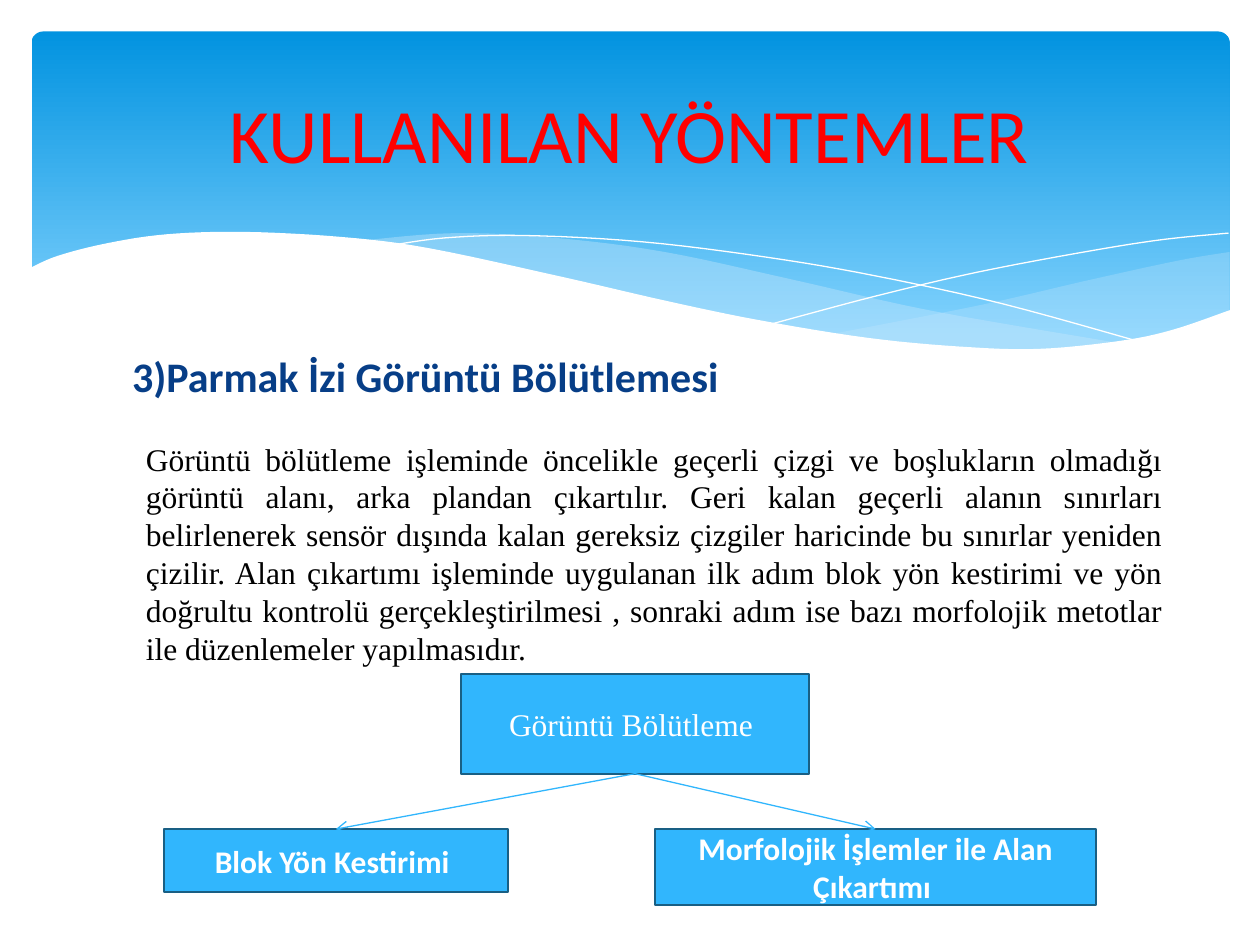
import pptx
import pptx.util
import pptx.dml.color
import pptx.enum.shapes
import pptx.enum.text
import pptx.oxml
import pptx.oxml.ns
from lxml import etree

Pt = pptx.util.Pt
KIND = pptx.enum.shapes.MSO_SHAPE
ALIGN = pptx.enum.text.PP_ALIGN
MIDDLE = pptx.enum.text.MSO_ANCHOR.MIDDLE
COLORS = {
    "deep": "0293E0", "sky": "83D3FE", "mist": "C6E7FC", "white": "FFFFFF",
    "navy": "073E87", "red": "FF0000", "black": "000000",
    "box": "31B6FD", "edge": "195F84",
}
SANS, SERIF = "Calibri", "Times New Roman"

FRONT = [(16.6, 153.4), (33, 146.2), (61.2, 139), (95, 133.9), (139, 132.5),
         (195, 135.4), (245, 141.8), (322, 158.4), (381, 172), (434, 183),
         (495.4, 193), (548, 198), (592.6, 199.4), (638.6, 195), (669.6, 188.6),
         (703.4, 177)]
RIGHT_TOP = [(702.7, 144), (673, 149), (620, 160.6), (561, 174.2), (476, 190.8)]
RIGHT_LOW = [(476, 190.8), (517.7, 195.8), (570, 199.4), (607.7, 199.4),
             (640, 195.8), (673, 188.6), (702.7, 177.8)]
MID_TOP = [(206, 137.5), (260, 133.2), (318, 136), (380, 144), (453, 159.8),
           (533.5, 177.8), (643, 196.6)]
MID_LOW = [(643, 196.6), (603.4, 200.2), (548, 199.4), (479, 191.5),
           (407.5, 178.6), (323.3, 159.8), (260.6, 146.2), (206, 137.5)]
FALL = [(222.5, 140.4), (254, 136), (299.5, 134.6), (367, 138.2), (438, 147),
        (500.4, 157.7), (572.4, 173.5), (653, 195.8)]
RISE = [(441.4, 185), (500.4, 169.2), (558.7, 155.5), (623.5, 143.3),
        (665.3, 136.8), (702, 133.2)]

BODY = (
    "Görüntü bölütleme işleminde öncelikle geçerli çizgi ve boşlukların olmadığı "
    "görüntü alanı, arka plandan çıkartılır. Geri kalan geçerli alanın sınırları "
    "belirlenerek sensör dışında kalan gereksiz çizgiler haricinde bu sınırlar "
    "yeniden çizilir. Alan çıkartımı işleminde uygulanan ilk adım blok yön "
    "kestirimi ve yön doğrultu kontrolü gerçekleştirilmesi , sonraki adım ise "
    "bazı morfolojik metotlar ile düzenlemeler yapılmasıdır. "
)


def color(name):
    return pptx.dml.color.RGBColor.from_string(COLORS[name])


def paint(shape, fill):
    shape.shadow.inherit = False
    shape.fill.solid()
    shape.fill.fore_color.rgb = color(fill)


def smooth(knots, steps=6):
    """Return points on a Catmull-Rom curve through the knots."""
    ends = [knots[0], *knots, knots[-1]]
    points = [knots[0]]
    for a, b, c, d in zip(ends, ends[1:], ends[2:], ends[3:]):
        for i in range(1, steps + 1):
            t = i / steps
            points.append(tuple(
                (2 * q + (r - p) * t + (2 * p - 5 * q + 4 * r - s) * t ** 2
                 + (3 * q - p - 3 * r + s) * t ** 3) / 2
                for p, q, r, s in zip(a, b, c, d)))
    return points


def trace(slide, points, close):
    dots = [(Pt(x), Pt(y)) for x, y in points]
    pen = slide.shapes.build_freeform(*dots[0], scale=1.0)
    pen.add_line_segments(dots[1:], close=close)
    return pen.convert_to_shape()


def add_wave(slide, points, fill, alpha=None):
    """Add a filled wave; alpha is its opacity in percent."""
    wave = trace(slide, points, True)
    paint(wave, fill)
    wave.line.fill.background()
    if alpha:
        tint = wave.fill._xPr.find(".//" + pptx.oxml.ns.qn("a:srgbClr"))
        etree.SubElement(tint, pptx.oxml.ns.qn("a:alpha"), val=str(alpha * 1000))


def add_curve(slide, knots):
    curve = trace(slide, smooth(knots), False)
    curve.shadow.inherit = False
    curve.fill.background()
    curve.line.color.rgb = color("white")
    curve.line.width = Pt(0)


def add_banner(slide):
    shape = slide.shapes.add_shape(
        KIND.ROUNDED_RECTANGLE, Pt(18), Pt(18), Pt(684.7), Pt(194.4))
    shape.adjustments[0] = 0.034
    shape.shadow.inherit = False
    shape.line.fill.background()
    shape.fill.gradient()
    shape.fill.gradient_angle = 270
    for stop, name, place in zip(shape.fill.gradient_stops, ("deep", "sky"), (0, 0.9)):
        stop.color.rgb = color(name)
        stop.position = place


def write(shape, text, size, font, tone, align, bold=False):
    shape.text_frame.word_wrap = True
    par = shape.text_frame.paragraphs[0]
    par.text = text
    par.alignment = align
    par.font.size = Pt(size)
    par.font.name = font
    par.font.bold = bold
    par.font.color.rgb = color(tone)
    return par


def add_text(slide, area, *style, **more):
    box = slide.shapes.add_textbox(*map(Pt, area))
    write(box, *style, **more)
    return box


def add_box(slide, area, text, font, bold=False):
    box = slide.shapes.add_shape(KIND.RECTANGLE, *map(Pt, area))
    paint(box, "box")
    box.line.color.rgb = color("edge")
    box.line.width = Pt(1.25)
    box.text_frame.vertical_anchor = MIDDLE
    write(box, text, 18, font, "white", ALIGN.CENTER, bold)
    return box


def add_arrow(slide, top, low):
    """Join the foot of one box to the head of another."""
    line = slide.shapes.add_connector(
        pptx.enum.shapes.MSO_CONNECTOR.STRAIGHT, 0, 0, 0, 0)
    line.begin_connect(top, 2)
    line.end_connect(low, 0)
    line.line.color.rgb = color("box")
    line.line.width = Pt(0.75)
    qn = pptx.oxml.ns.qn
    etree.SubElement(line.line._get_or_add_ln(), qn("a:tailEnd"), type="arrow")
    etree.SubElement(line._element.spPr, qn("a:effectLst"))


def main():
    deck = pptx.Presentation()
    deck.slide_width, deck.slide_height = Pt(720), Pt(540)
    slide = deck.slides.add_slide(deck.slide_layouts[6])

    add_banner(slide)
    add_wave(slide, smooth(RIGHT_TOP) + smooth(RIGHT_LOW), "mist", 29)
    add_wave(slide, smooth(MID_TOP) + smooth(MID_LOW), "mist", 40)
    add_curve(slide, FALL)
    add_curve(slide, RISE)
    add_wave(slide, smooth(FRONT) + [(703.4, 237), (16.6, 237)], "white")

    head = add_text(slide, (68.4, 196.6, 583.2, 285.8),
                    "3)Parmak İzi Görüntü Bölütlemesi", 24, SANS, "navy",
                    ALIGN.LEFT, bold=True)
    head.text_frame.paragraphs[0].space_before = Pt(4.8)
    title = add_text(slide, (36, 26.6, 648, 98.6), "KULLANILAN YÖNTEMLER",
                     44, SANS, "red", ALIGN.CENTER)
    title.text_frame.vertical_anchor = MIDDLE
    add_text(slide, (76.3, 247.7, 595.4, 138.2), BODY, 18, SERIF, "black",
             ALIGN.JUSTIFY)

    root = add_box(slide, (263.5, 385.2, 198.7, 56.9), "Görüntü Bölütleme ", SERIF)
    block = add_box(slide, (93.6, 473.8, 196.6, 36), "Blok Yön Kestirimi ", SANS, True)
    morph = add_box(slide, (374.4, 473.8, 252, 43.2),
                    "Morfolojik İşlemler ile Alan Çıkartımı ", SANS, True)
    for leaf in (morph, block):
        add_arrow(slide, root, leaf)

    deck.save("out.pptx")


if __name__ == "__main__":
    main()
